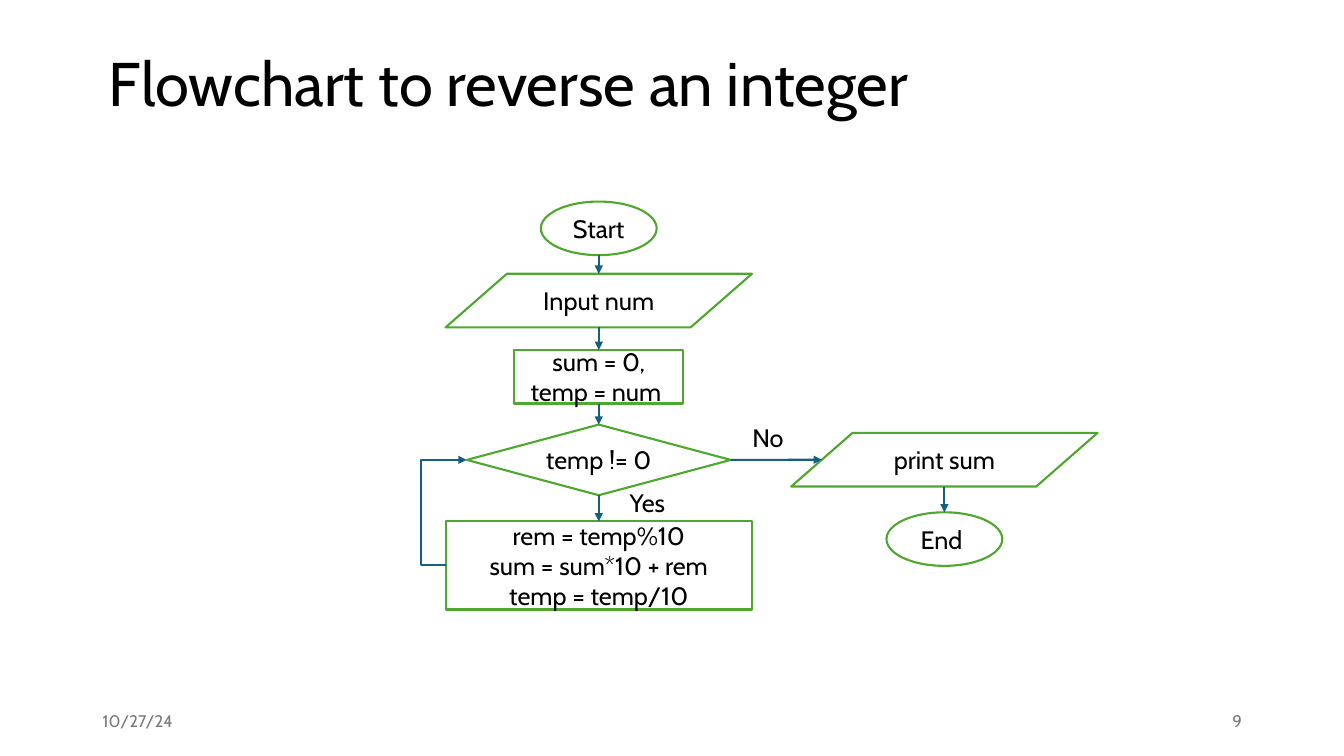
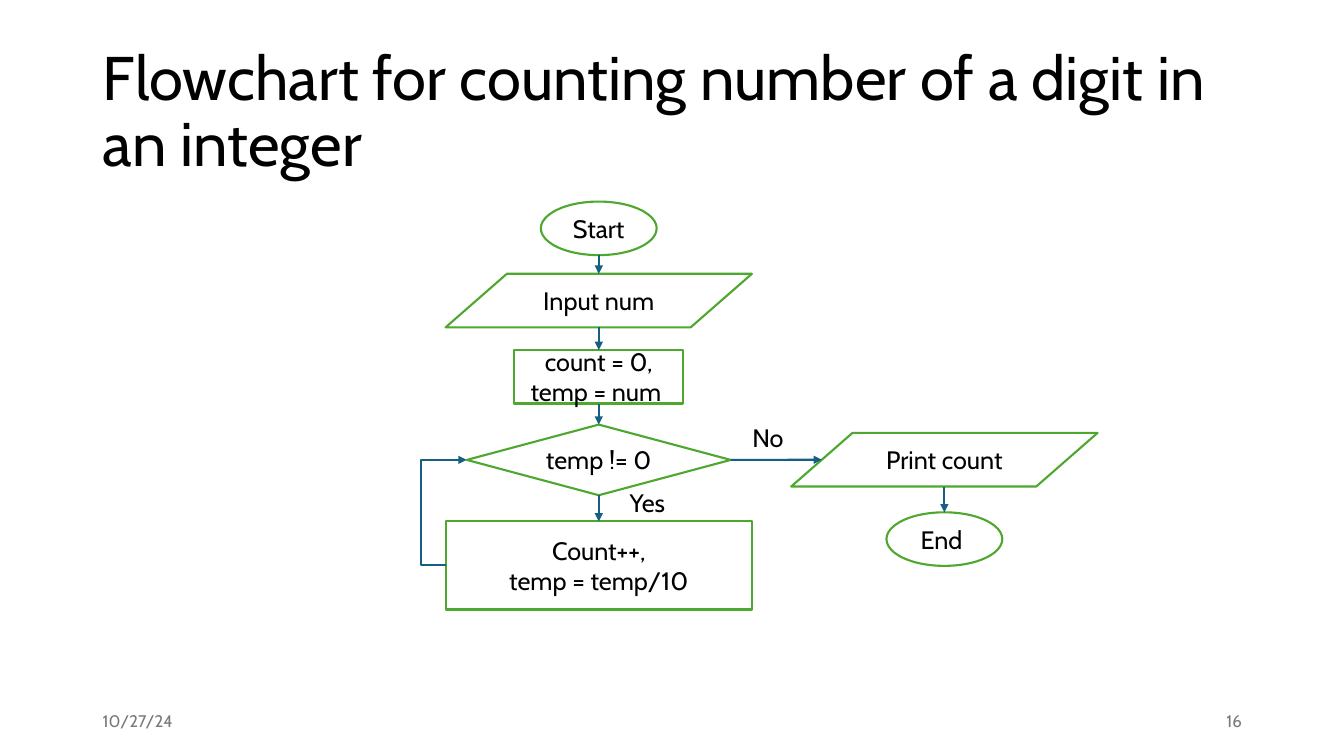
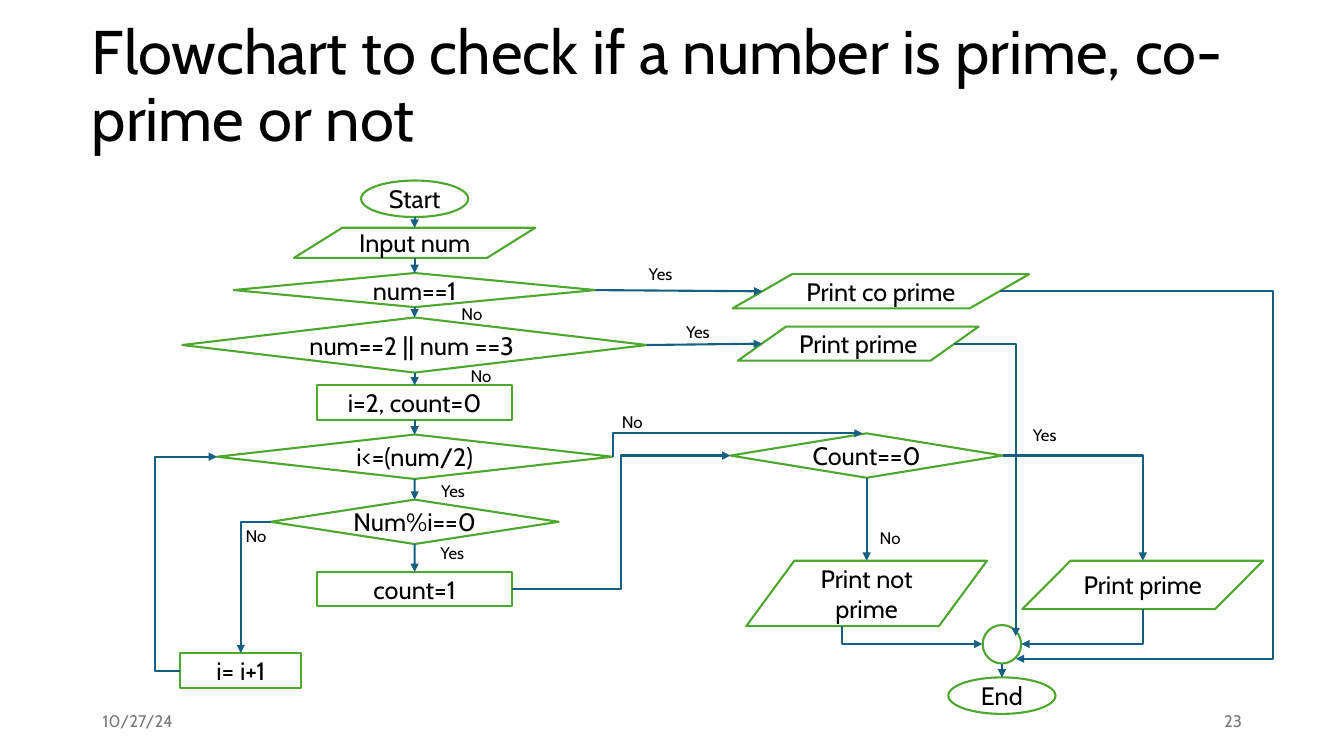
from lxml import etree
from pptx import Presentation
from pptx.dml.color import RGBColor
from pptx.enum import shapes, text
from pptx.oxml import ns
from pptx.util import Cm, Pt

COLORS = {"ink": "000000", "paper": "FFFFFF", "outline": "4EA72E",
          "arrow": "156082", "footer": "797979"}
FONT = "Cabin"
KINDS = {"oval": shapes.MSO_SHAPE.OVAL, "data": shapes.MSO_SHAPE.FLOWCHART_DATA,
         "step": shapes.MSO_SHAPE.RECTANGLE, "test": shapes.MSO_SHAPE.DIAMOND}
LABEL_WIDTHS = {("Yes", 18): 1.47, ("No", 18): 1.32, ("Yes", 12): 1.14, ("No", 12): 1.04}


def write(box, words, size, color="ink", align=text.PP_ALIGN.LEFT,
          anchor=text.MSO_ANCHOR.MIDDLE, wrap=True):
    frame = box.text_frame
    frame.text = words
    frame.word_wrap = wrap
    frame.auto_size = text.MSO_AUTO_SIZE.NONE
    frame.vertical_anchor = anchor
    for para in frame.paragraphs:
        para.alignment = align
        para.font.name = FONT
        para.font.size = Pt(size)
        para.font.color.rgb = RGBColor.from_string(COLORS[color])


def add_arrow(page, kind, begin, end, arrow_at="tailEnd"):
    arrow = page.shapes.add_connector(kind, *(Cm(value) for value in begin + end))
    arrow.line.color.rgb = RGBColor.from_string(COLORS["arrow"])
    arrow.line.width = Pt(1.5)
    etree.SubElement(arrow.line._get_or_add_ln(), ns.qn("a:" + arrow_at), type="triangle")
    etree.SubElement(arrow._element.spPr, ns.qn("a:effectLst"))
    return arrow


# Nodes: name: (kind, words, centre x, top, width, height), all in cm
# Elbows: (begin, end, x of the upright part or None for one corner, arrow end)
charts = []

# Two loops over the digits of a number
digit_loops = [
    ("Flowchart to reverse an integer", (2.49, 0.33), "9",
     "sum = 0, temp = num ", "rem = temp%10\nsum = sum*10 + rem\ntemp = temp/10", "print sum"),
    ("Flowchart for counting number of a digit in an integer", (2.34, 1.02), "16",
     "count = 0, temp = num ", "Count++,\ntemp = temp/10", "Print count"),
]
for title, title_at, number, setup, body, result in digit_loops:
    charts.append({
        "title": title, "title_at": title_at, "number": number, "label_size": 18,
        "nodes": {
            "start": ("oval", "Start", 15.09, 5.08, 2.92, 1.35),
            "input": ("data", "Input num", 15.09, 6.9, 7.72, 1.35),
            "setup": ("step", setup, 15.09, 8.82, 4.25, 1.35),
            "check": ("test", "temp != 0", 15.09, 10.7, 6.65, 1.78),
            "body": ("step", body, 15.09, 13.14, 7.72, 2.22),
            "result": ("data", result, 23.8, 10.91, 7.72, 1.35),
            "end": ("oval", "End ", 23.8, 12.91, 2.92, 1.35),
        },
        "down": [("start", "input"), ("input", "setup"), ("setup", "check"),
                 ("check", "body"), ("result", "end")],
        "across": [("check", "result")],
        "elbows": [((11.23, 14.25), (11.76, 11.59), 10.6, "tailEnd")],
        "labels": [("Yes", 15.62, 12.15), ("No", 18.71, 10.51)],
    })

# Prime check
charts.append({
    "title": "Flowchart to check if a number is prime, co-prime or not",
    "title_at": (2.06, 0.38), "number": "23", "label_size": 12,
    "nodes": {
        "start": ("oval", "Start", 10.45, 4.55, 2.7, 0.92),
        "input": ("data", "Input num", 10.45, 5.74, 6.08, 0.76),
        "is one": ("test", "num==1", 10.45, 6.88, 9.12, 0.86),
        "is two or three": ("test", "num==2 || num ==3 ", 10.45, 8, 11.71, 1.39),
        "setup": ("step", "i=2, count=0", 10.45, 9.71, 4.9, 0.87),
        "in range": ("test", "i<=(num/2)", 10.45, 10.95, 9.96, 1.12),
        "divides": ("test", "Num%i==0", 10.45, 12.59, 7.26, 1.12),
        "found": ("step", "count=1", 10.45, 14.41, 4.9, 0.87),
        "next": ("step", "i= i+1", 6.07, 16.46, 3.05, 0.87),
        "is count zero": ("test", "Count==0", 21.84, 10.92, 6.86, 1.12),
        "not prime": ("data", "Print not prime", 21.84, 14.13, 6.07, 1.65),
        "prime": ("data", "Print prime", 28.8, 14.13, 6.07, 1.22),
        "co prime": ("data", "Print co prime", 22.2, 6.91, 7.47, 0.86),
        "small prime": ("data", "Print prime", 21.63, 8.23, 6.07, 0.86),
        "joint": ("oval", "", 25.25, 15.75, 0.97, 0.97),
        "end": ("oval", "End", 25.25, 17.07, 2.7, 0.92),
    },
    "down": [("start", "input"), ("input", "is one"), ("is one", "is two or three"),
             ("is two or three", "setup"), ("setup", "in range"), ("in range", "divides"),
             ("divides", "found"), ("is count zero", "not prime"), ("joint", "end")],
    "across": [("is one", "co prime"), ("is two or three", "small prime")],
    "elbows": [
        ((25.27, 11.48), (28.8, 14.13), None, "tailEnd"),
        ((21.74, 10.92), (15.44, 11.51), None, "headEnd"),
        ((12.9, 14.85), (18.41, 11.48), 15.65, "tailEnd"),
        ((6.82, 13.15), (6.07, 16.46), None, "tailEnd"),
        ((4.54, 16.9), (5.47, 11.51), 3.91, "tailEnd"),
        ((24.76, 16.23), (21.23, 15.78), None, "headEnd"),
        ((25.74, 16.23), (28.8, 15.35), None, "headEnd"),
        ((25.2, 7.34), (25.6, 16.6), 32.08, "tailEnd"),
        ((24.05, 8.66), (25.6, 16.03), None, "tailEnd"),
    ],
    "labels": [("Yes", 25.78, 10.59), ("No", 21.92, 13.18), ("No", 15.42, 10.24),
               ("Yes", 10.87, 11.99), ("Yes", 10.85, 13.56), ("No", 5.94, 13.13),
               ("Yes", 16.1, 6.53), ("Yes", 17.04, 7.98), ("No", 11.38, 7.52),
               ("No", 11.61, 9.09)],
})

deck = Presentation()
deck.slide_width, deck.slide_height = Cm(33.87), Cm(19.05)

for chart in charts:
    page = deck.slides.add_slide(deck.slide_layouts[5])

    # Title
    title = page.shapes.title
    title.left, title.top = (Cm(value) for value in chart["title_at"])
    title.width, title.height = Cm(29.21), Cm(3.68)
    write(title, chart["title"], 44)
    title.text_frame.paragraphs[0].line_spacing = 0.9

    # Nodes
    boxes = {}
    for name, (kind, words, center, top, width, height) in chart["nodes"].items():
        box = page.shapes.add_shape(KINDS[kind], Cm(center - width / 2), Cm(top),
                                    Cm(width), Cm(height))
        box.shadow.inherit = False
        box.fill.solid()
        box.fill.fore_color.rgb = RGBColor.from_string(COLORS["paper"])
        box.line.color.rgb = RGBColor.from_string(COLORS["outline"])
        box.line.width = Pt(1.5)
        write(box, words, 18, align=text.PP_ALIGN.CENTER)
        boxes[name] = box

    # Straight arrows, joined to steps and tests
    for upper, lower in chart["down"]:
        kind, _, center, top, _, height = chart["nodes"][upper]
        end_kind, _, end_center, end_top, _, _ = chart["nodes"][lower]
        arrow = add_arrow(page, shapes.MSO_CONNECTOR.STRAIGHT,
                          (center, top + height), (end_center, end_top))
        if kind in ("step", "test"):
            arrow.begin_connect(boxes[upper], 2)
        if end_kind in ("step", "test"):
            arrow.end_connect(boxes[lower], 0)

    for test, output in chart["across"]:
        _, _, center, top, width, height = chart["nodes"][test]
        _, _, end_center, end_top, end_width, end_height = chart["nodes"][output]
        arrow = add_arrow(page, shapes.MSO_CONNECTOR.STRAIGHT,
                          (center + width / 2, top + height / 2),
                          (end_center - 0.4 * end_width, end_top + end_height / 2))
        arrow.begin_connect(boxes[test], 3)

    # Elbow arrows
    for begin, end, upright, arrow_at in chart["elbows"]:
        arrow = add_arrow(page, shapes.MSO_CONNECTOR.ELBOW, begin, end, arrow_at)
        geometry = arrow._element.spPr.find(ns.qn("a:prstGeom"))
        if upright is None:
            geometry.set("prst", "bentConnector2")
        else:
            share = round((upright - begin[0]) / (end[0] - begin[0]) * 100000)
            etree.SubElement(geometry.find(ns.qn("a:avLst")), ns.qn("a:gd"),
                             name="adj1", fmla=f"val {share}")

    # Branch labels
    size = chart["label_size"]
    for words, left, top in chart["labels"]:
        label = page.shapes.add_textbox(Cm(left), Cm(top), Cm(LABEL_WIDTHS[words, size]),
                                        Cm(1.02 if size == 18 else 0.76))
        write(label, words, size, anchor=text.MSO_ANCHOR.TOP, wrap=False)

    # Date and page number
    for words, left, align in [("10/27/24", 2.34, text.PP_ALIGN.LEFT),
                               (chart["number"], 23.93, text.PP_ALIGN.RIGHT)]:
        footer = page.shapes.add_textbox(Cm(left), Cm(17.65), Cm(7.62), Cm(1.02))
        write(footer, words, 12, "footer", align)

deck.save("out.pptx")
